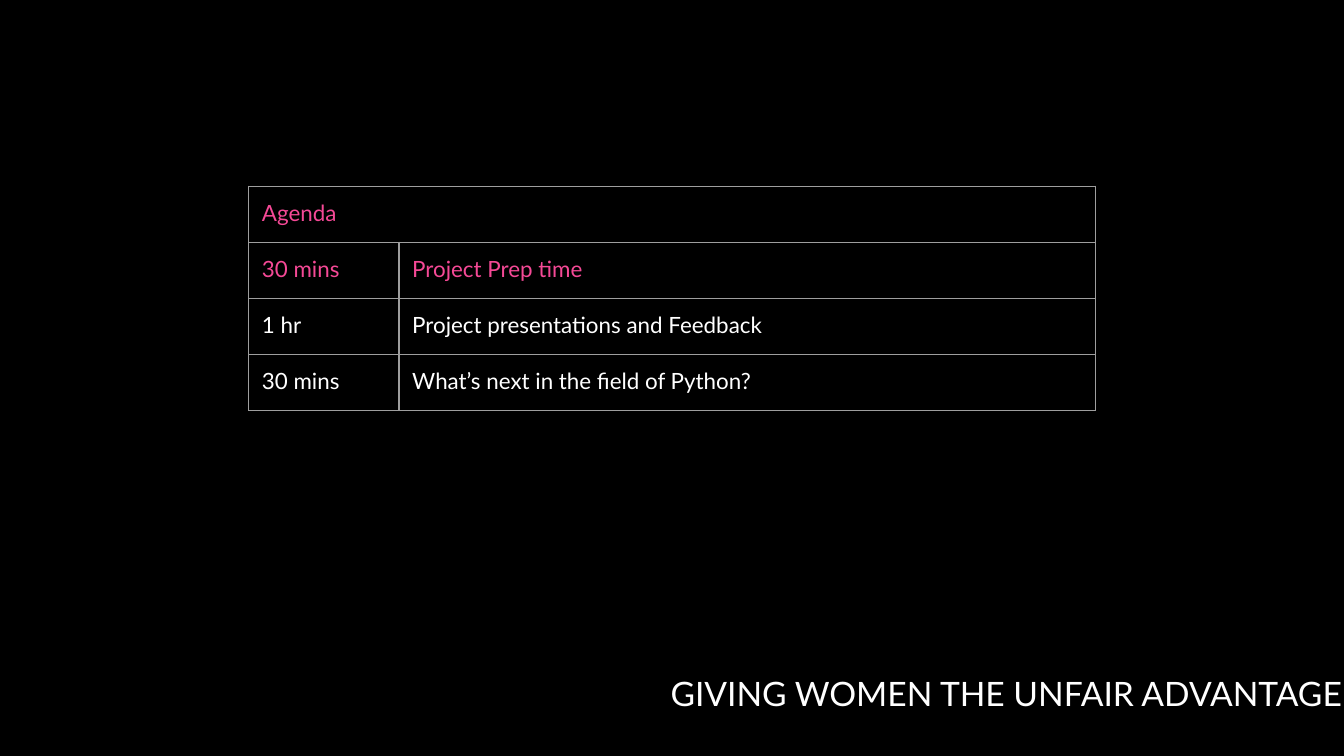
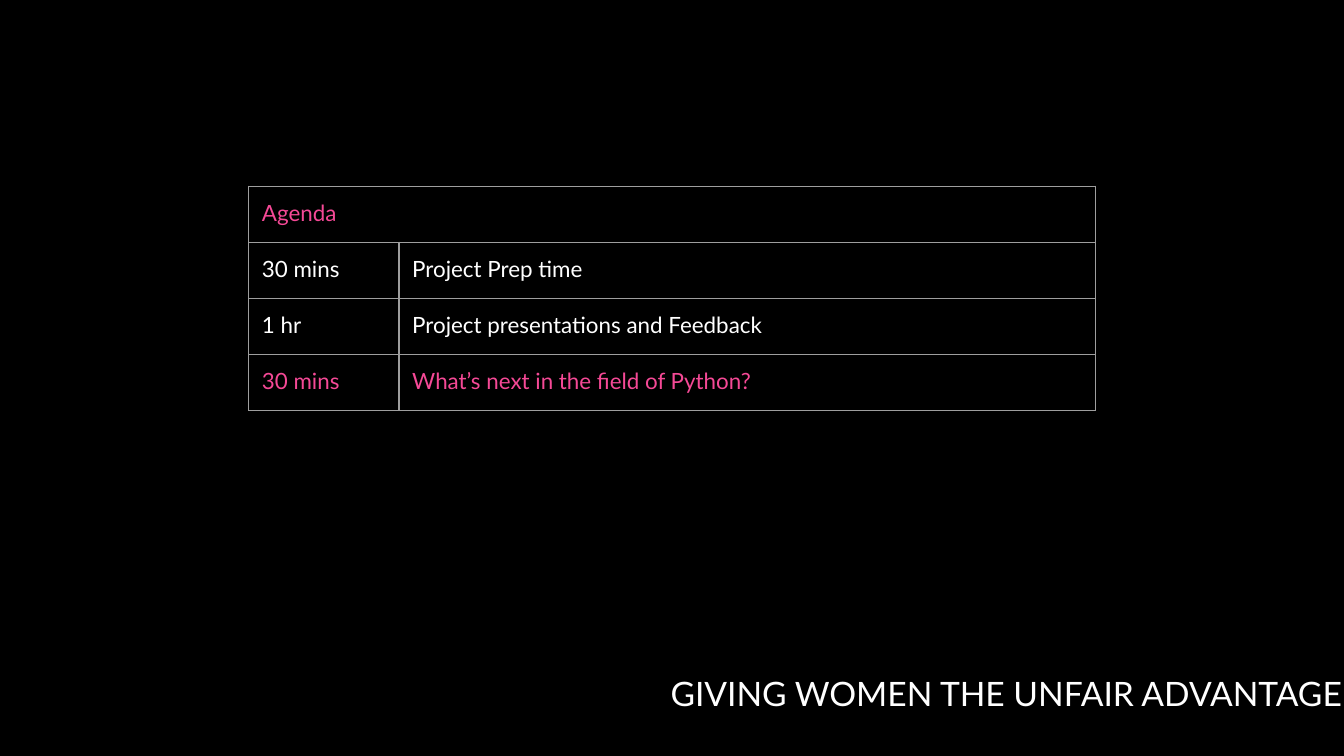
"""Build two agenda slides, each with its current item in pink."""
from lxml.etree import SubElement
from pptx import Presentation
from pptx.dml.color import RGBColor
from pptx.enum.text import MSO_ANCHOR, PP_ALIGN
from pptx.oxml.ns import qn
from pptx.util import Cm, Pt

BLACK = RGBColor(0x00, 0x00, 0x00)
WHITE = RGBColor(0xFF, 0xFF, 0xFF)
PINK = RGBColor(0xF5, 0x49, 0x96)
GREY = RGBColor(0x9E, 0x9E, 0x9E)
FONT = "Lato"
MOTTO = "GIVING WOMEN THE UNFAIR ADVANTAGE"
AGENDA = [
    ("Agenda", ""),
    ("30 mins", "Project Prep time"),
    ("1 hr", "Project presentations and Feedback"),
    ("30 mins", "What’s next in the field of Python?"),
]
WIDTHS = [Cm(2.84), Cm(13.16)]
HEIGHT = Cm(1.06)
PAD = Cm(0.25)


def write(frame, text, size, color):
    frame.text = text
    for run in frame.paragraphs[0].runs:
        run.font.name = FONT
        run.font.size = Pt(size)
        run.font.color.rgb = color


def border(cell):
    props = cell._tc.get_or_add_tcPr()
    for side in ("a:lnL", "a:lnR", "a:lnT", "a:lnB"):
        line = SubElement(props, qn(side), w=str(Pt(0.75)))
        fill = SubElement(line, qn("a:solidFill"))
        SubElement(fill, qn("a:srgbClr"), val=str(GREY))


deck = Presentation()
deck.slide_width = Cm(25.4)
deck.slide_height = Cm(14.29)
back = deck.slide_master.background.fill
back.solid()
back.fore_color.rgb = BLACK

for current in (1, 3):
    slide = deck.slides.add_slide(deck.slide_layouts[6])

    grid = slide.shapes.add_table(
        len(AGENDA), 2, Cm(4.7), Cm(3.52), sum(WIDTHS), HEIGHT * len(AGENDA)
    ).table
    grid.first_row = False
    grid.horz_banding = False
    for col, width in zip(grid.columns, WIDTHS):
        col.width = width
    for r, texts in enumerate(AGENDA):
        grid.rows[r].height = HEIGHT
        color = PINK if r in (0, current) else WHITE
        for c, text in enumerate(texts):
            cell = grid.cell(r, c)
            cell.margin_left = cell.margin_right = PAD
            cell.margin_top = cell.margin_bottom = PAD
            border(cell)
            cell.fill.background()
            write(cell.text_frame, text, 12, color)
    grid.cell(0, 0).merge(grid.cell(0, 1))

    frame = slide.shapes.add_textbox(Cm(11.5), Cm(12.95), Cm(15.04), Cm(0.61)).text_frame
    frame.margin_left = frame.margin_right = 0
    frame.margin_top = frame.margin_bottom = 0
    frame.word_wrap = True
    frame.vertical_anchor = MSO_ANCHOR.TOP
    write(frame, MOTTO, 18, WHITE)
    frame.paragraphs[0].alignment = PP_ALIGN.CENTER
    frame.paragraphs[0].line_spacing = 0.65

deck.save("out.pptx")
